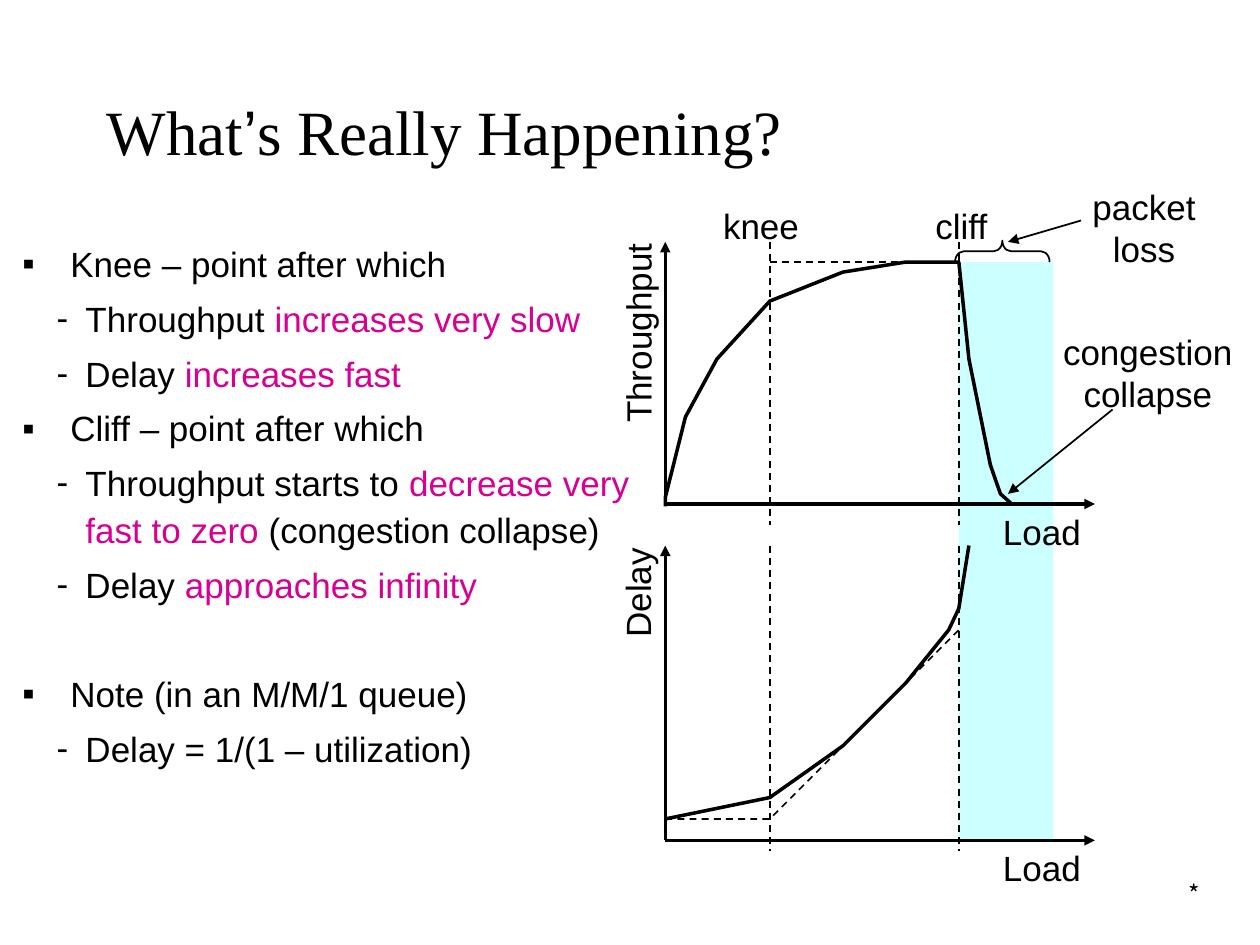
"""Build a slide on throughput and delay around the knee and the cliff."""
from lxml.etree import SubElement as Sub
from pptx import Presentation
from pptx.dml.color import RGBColor as RGB
from pptx.enum.dml import MSO_LINE as Dash
from pptx.enum.shapes import MSO_CONNECTOR as Link, MSO_SHAPE as Kind
from pptx.enum.text import MSO_ANCHOR as Anchor, PP_ALIGN as Align
from pptx.oxml.ns import qn
from pptx.util import Inches, Pt

HUES = {"ink": "000000", "pink": "D60093", "band": "CCFFFF"}
SANS, SERIF, CJK = "Arial", "Times New Roman", "Noto Sans CJK SC"
LEFT, KNEE, CLIFF, RIGHT = 5.28, 6.11, 7.61, 8.69

deck = Presentation()
deck.slide_width, deck.slide_height = Inches(10), Inches(7.5)
slide = deck.slides.add_slide(deck.slide_layouts[6])
shapes = slide.shapes


def write(spot, rows, size=20, align=Align.CENTER, wrap=False, turn=0):
    box = shapes.add_textbox(*[Inches(n) for n in spot])
    box.rotation = turn
    frame = box.text_frame
    frame.word_wrap = wrap
    if not wrap:
        frame.margin_left = frame.margin_right = Inches(0)
    for i, row in enumerate(rows):
        para = frame.paragraphs[0] if i == 0 else frame.add_paragraph()
        para.alignment = align
        for text, face, hue in row:
            run = para.add_run()
            run.text = text
            run.font.size = Pt(size)
            run.font.name = face
            run.font.color.rgb = RGB.from_string(HUES[hue])
    return frame


def draw(points, width, dash=False, tip=False):
    spots = [(Inches(x), Inches(y)) for x, y in points]
    if len(spots) == 2:
        item = shapes.add_connector(Link.STRAIGHT, *spots[0], *spots[1])
    else:
        path = shapes.build_freeform(*spots[0])
        path.add_line_segments(spots[1:], close=False)
        item = path.convert_to_shape()
        item.fill.background()
        item.shadow.inherit = False
    item.line.color.rgb = RGB.from_string(HUES["ink"])
    item.line.width = Pt(width)
    if dash:
        item.line.dash_style = Dash.DASH
    props = item.line._get_or_add_ln()
    if tip:
        Sub(props, qn("a:tailEnd"), type="triangle")
    if len(spots) == 2:
        Sub(props.getparent(), qn("a:effectLst"))


write((9.04, 6.93, 0.58, 0.33), [[("*", CJK, "ink")]], 14, Align.RIGHT, True)

band = shapes.add_shape(Kind.RECTANGLE, Inches(CLIFF), Inches(2.08), Inches(0.75), Inches(4.58))
band.shadow.inherit = False
band.fill.solid()
band.fill.fore_color.rgb = RGB.from_string(HUES["band"])
band.line.fill.background()

title = [("What", SERIF, "ink"), ("’", SANS, "ink"), ("s Really Happening?", SERIF, "ink")]
head = write((0.75, 0.66, 8.5, 0.75), [title], 36, Align.LEFT, True)
head.vertical_anchor = Anchor.MIDDLE

points = [
    (0, 0, [("Knee – point after which", "ink")]),
    (1, 5, [("Throughput ", "ink"), ("increases very slow", "pink")]),
    (1, 5, [("Delay ", "ink"), ("increases fast", "pink")]),
    (0, 5, [("Cliff – point after which", "ink")]),
    (1, 5, [("Throughput starts to ", "ink"), ("decrease very fast to zero", "pink"),
            (" (congestion collapse)", "ink")]),
    (1, 5, [("Delay ", "ink"), ("approaches infinity", "pink")]),
    (0, 36, [("Note (in an M/M/1 queue)", "ink")]),
    (1, 5, [("Delay = 1/(1 – utilization)", "ink")]),
]
rows = [[(text, SANS, hue) for text, hue in runs] for _, _, runs in points]
body = write((0.08, 1.84, 5.08, 4.75), rows, 20, Align.LEFT, True)
marks = [("▪", 0.38, 0.38), ("-", 0.5, 0.23)]
for para, (level, gap, _) in zip(body.paragraphs, points):
    mark, left, hang = marks[level]
    para.level = level
    para.line_spacing = 1.1
    para.space_before = Pt(gap)
    props = para._p.get_or_add_pPr()
    props.set("marL", str(Inches(left)))
    props.set("indent", str(-Inches(hang)))
    Sub(Sub(props, qn("a:buClr")), qn("a:srgbClr"), val=HUES["ink"])
    Sub(props, qn("a:buFont"), typeface=SANS)
    Sub(props, qn("a:buChar"), char=mark)

for top, base, low in [(1.92, 4, 4.17), (4.33, 6.67, 6.75)]:
    draw([(LEFT, base), (LEFT, top)], 2, tip=True)
    draw([(LEFT, base), (RIGHT, base)], 2, tip=True)
    for x in (KNEE, CLIFF):
        draw([(x, top), (x, low)], 1, dash=True)
    write((7.86, base, 0.82, 0.43), [[("Load", SANS, "ink")]])

draw([(LEFT, 4.02), (LEFT, 3.95), (5.44, 3.31), (5.69, 2.85), (KNEE, 2.39), (6.69, 2.16),
      (7.19, 2.08), (CLIFF, 2.08), (7.69, 2.85), (7.86, 3.69), (7.94, 3.92), (8.03, 4)], 2)
draw([(KNEE, 2.08), (CLIFF, 2.08)], 1, dash=True)
draw([(LEFT, 6.5), (KNEE, 6.5), (CLIFF, 5)], 1, dash=True)
draw([(LEFT, 6.5), (KNEE, 6.33), (6.69, 5.92), (7.19, 5.42), (7.53, 5),
      (CLIFF, 4.83), (7.69, 4.33)], 2)

labels = [
    ((4.25, 2.43, 1.62, 0.43), ["Throughput"], 270),
    ((4.6, 4.49, 0.91, 0.43), ["Delay"], 270),
    ((5.64, 1.57, 0.8, 0.43), ["knee"], 0),
    ((7.32, 1.57, 0.62, 0.43), ["cliff"], 0),
    ((8.34, 2.57, 1.54, 0.76), ["congestion", "collapse"], 0),
    ((8.57, 1.42, 1.02, 0.76), ["packet", "loss"], 0),
]
for spot, lines, turn in labels:
    write(spot, [[(line, SANS, "ink")] for line in lines], turn=turn)

brace = shapes.add_shape(Kind.LEFT_BRACE, Inches(7.87), Inches(1.62), Inches(0.17), Inches(0.75))
brace.rotation = 90
brace.adjustments[0] = 0.4
brace.shadow.inherit = False
brace.fill.background()
brace.line.color.rgb = RGB.from_string(HUES["ink"])
brace.line.width = Pt(1)

draw([(8.83, 3.25), (8, 3.92)], 1, tip=True)
draw([(8.58, 1.75), (8, 1.92)], 1, tip=True)

deck.save("out.pptx")
